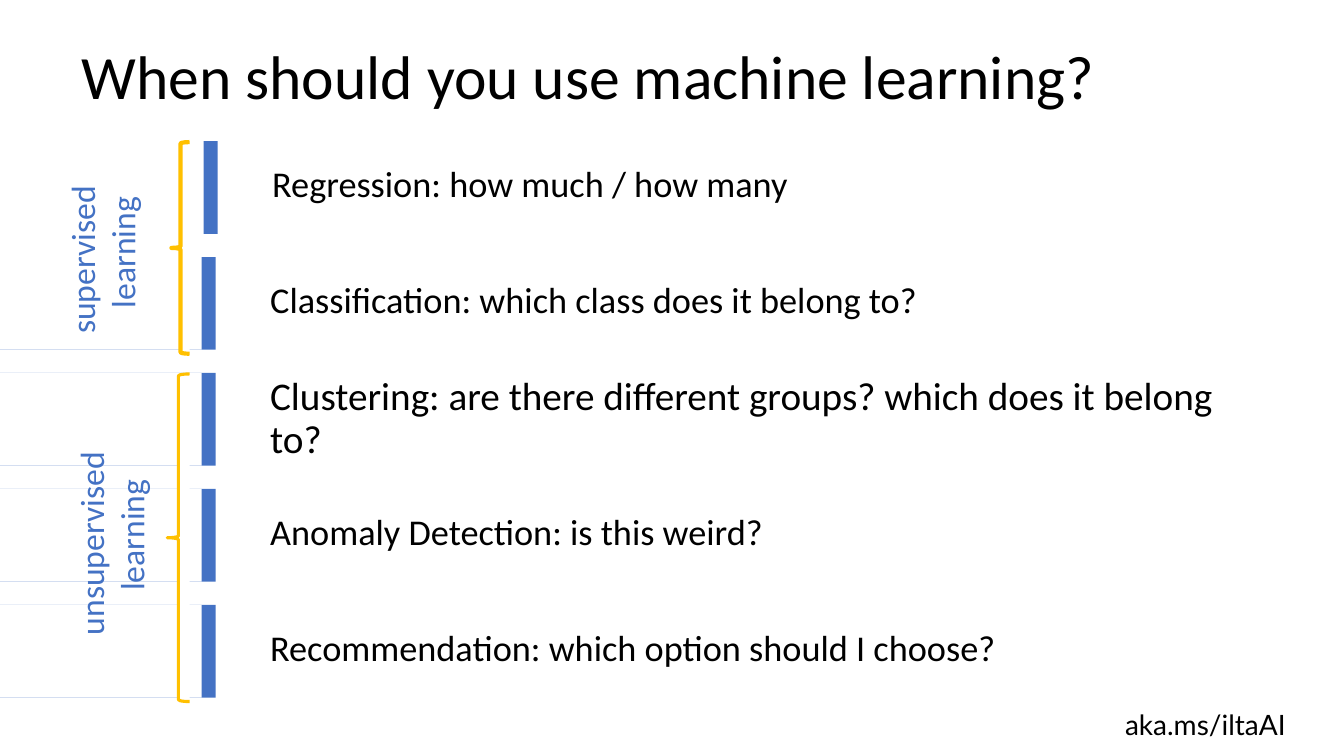
from pptx import Presentation, util as u
from pptx.dml.color import RGBColor
from pptx.enum import shapes, text

COLORS = {"blue": "4472C4", "white": "FFFFFF", "gold": "FFC000", "black": "000000"}
SLIDE_WIDTH, SLIDE_HEIGHT = 13.33, 7.5
ROW_TOP, ROW_PITCH, ROW_HEIGHT = 1.4, 1.15, 0.92
BAR_WIDTH = 0.14
QUESTIONS = [
    ("Regression: how much / how many", 2.16, {}),
    ("Classification: which class does it belong to?", 2.14, {}),
    ("Clustering: are there different groups? which does it belong to?", 2.14,
     {"size": 28, "spacing": 0.9, "height": 0.94}),
    ("Anomaly Detection: is this weird?", 2.14, {}),
    ("Recommendation: which option should I choose?", 2.14, {}),
]
GROUPS = [
    ("supervised", (1.7, 1.41, 0.18, 2.1), 3, (0.2, 1.96, 1.81, 1.09)),
    ("unsupervised", (1.66, 3.71, 0.22, 3.25), 2.25, (0.12, 4.75, 2.18, 1.12)),
]


def rgb(name):
    return RGBColor.from_string(COLORS[name])


def inches(box):
    return [u.Inches(value) for value in box]


def add_text(slide, box, lines, size, color="black", font="Calibri", spacing=1.0,
             anchor=text.MSO_ANCHOR.TOP, left_inset=0.1, wrap=True, rotation=0,
             aligns=(text.PP_ALIGN.LEFT,)):
    shape = slide.shapes.add_textbox(*inches(box))
    shape.rotation = rotation
    frame = shape.text_frame
    frame.word_wrap = wrap
    frame.auto_size = (text.MSO_AUTO_SIZE.NONE if wrap
                       else text.MSO_AUTO_SIZE.SHAPE_TO_FIT_TEXT)
    frame.vertical_anchor = anchor
    frame.margin_left = u.Inches(left_inset)
    frame.text = "\n".join(lines)
    for paragraph, align in zip(frame.paragraphs, aligns):
        paragraph.alignment = align
        paragraph.line_spacing = spacing
        paragraph.font.size = u.Pt(size)
        paragraph.font.name = font
        paragraph.font.color.rgb = rgb(color)


def add_filled(slide, kind, box, fill, line=None, width=0):
    shape = slide.shapes.add_shape(kind, *inches(box))
    shape.shadow.inherit = False
    shape.fill.solid()
    shape.fill.fore_color.rgb = rgb(fill)
    if line:
        shape.line.color.rgb = rgb(line)
        shape.line.width = u.Pt(width)
    else:
        shape.line.fill.background()


def add_question(slide, box, question, size=25.9, spacing=0.8, height=0.47):
    left, top, width, row_height = box
    rectangle = shapes.MSO_SHAPE.RECTANGLE
    add_filled(slide, rectangle, box, "blue")
    add_filled(slide, rectangle, (left, top, width - BAR_WIDTH, row_height), "white")
    text_box = (left + width + 0.24, top + (row_height - height) / 2, 10.3, height)
    add_text(slide, text_box, [question], size, spacing=spacing,
             anchor=text.MSO_ANCHOR.MIDDLE, left_inset=0.3)


def add_group(slide, brace_box, label_box, name, line_width):
    add_filled(slide, shapes.MSO_SHAPE.LEFT_BRACE, brace_box, "white", "gold", line_width)
    add_text(slide, label_box, [name, "learning"], 24, color="blue", wrap=False,
             rotation=270, aligns=(text.PP_ALIGN.LEFT, text.PP_ALIGN.CENTER))


def main():
    presentation = Presentation()
    presentation.slide_width = u.Inches(SLIDE_WIDTH)
    presentation.slide_height = u.Inches(SLIDE_HEIGHT)
    slide = presentation.slides.add_slide(presentation.slide_layouts[6])
    for row, (question, width, style) in enumerate(QUESTIONS):
        box = (0, ROW_TOP + row * ROW_PITCH, width, ROW_HEIGHT)
        add_question(slide, box, question, **style)
    add_text(slide, (0.71, 0.06, 11.5, 1.45), ["When should you use machine learning?"],
             44, spacing=0.9, anchor=text.MSO_ANCHOR.MIDDLE)
    for name, brace_box, line_width, label_box in GROUPS:
        add_group(slide, brace_box, label_box, name, line_width)
    add_text(slide, (11.06, 6.97, 2.2, 0.44), ["aka.ms/iltaAI"], 20, font="Lato")
    presentation.save("out.pptx")


if __name__ == "__main__":
    main()
